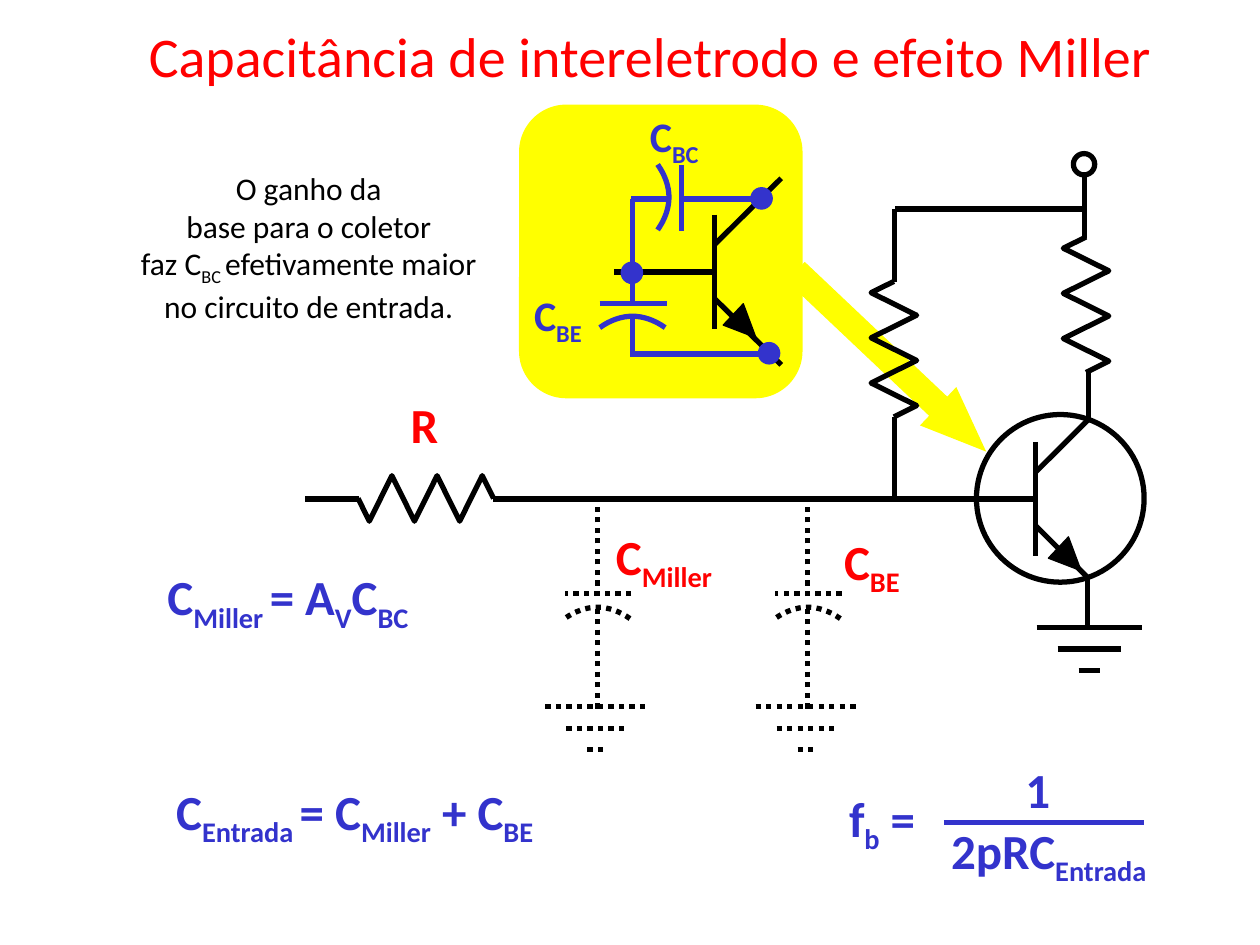
import pptx
import pptx.util
import pptx.dml.color
import pptx.enum.dml
import pptx.enum.shapes
import pptx.enum.text
import pptx.oxml.ns
import lxml.etree

Pt = pptx.util.Pt
RGBColor = pptx.dml.color.RGBColor
KINDS = pptx.enum.shapes.MSO_SHAPE
ALIGN = pptx.enum.text.PP_ALIGN
BLACK = RGBColor(0x00, 0x00, 0x00)
RED = RGBColor(0xFF, 0x00, 0x00)
BLUE = RGBColor(0x33, 0x33, 0xCC)
YELLOW = RGBColor(0xFF, 0xFF, 0x00)

deck = pptx.Presentation()
deck.slide_width, deck.slide_height = Pt(720), Pt(540)
slide = deck.slides.add_slide(deck.slide_layouts[5])
shapes = slide.shapes


def wire(points, color=BLACK, dotted=False):
    """Join two points with a connector, more points with an open outline."""
    ends = [(Pt(x), Pt(y)) for x, y in points]
    if len(ends) == 2:
        part = shapes.add_connector(
            pptx.enum.shapes.MSO_CONNECTOR.STRAIGHT, *ends[0], *ends[1])
        lxml.etree.SubElement(part._element.spPr, pptx.oxml.ns.qn("a:effectLst"))
    else:
        pen = shapes.build_freeform(*ends[0])
        pen.add_line_segments(ends[1:], close=False)
        part = pen.convert_to_shape()
        part.fill.background()
        part.shadow.inherit = False
    part.line.color.rgb = color
    part.line.width = Pt(3)
    if dotted:
        part.line.dash_style = pptx.enum.dml.MSO_LINE.ROUND_DOT


def solid(kind, x, y, w, h, fill=None, line=None, width=3):
    part = shapes.add_shape(kind, Pt(x), Pt(y), Pt(w), Pt(h))
    part.shadow.inherit = False
    if fill is None:
        part.fill.background()
    else:
        part.fill.solid()
        part.fill.fore_color.rgb = fill
    if line is None:
        part.line.fill.background()
    else:
        part.line.color.rgb = line
        part.line.width = Pt(width)
    return part


# Detail panel and its arrow to the transistor
arrow = solid(KINDS.RIGHT_ARROW, 434.2, 191.5, 149.8, 30.2, YELLOW)
arrow.rotation = 43.4
arrow.adjustments[0], arrow.adjustments[1] = 0.5, 1.25
solid(KINDS.ROUNDED_RECTANGLE, 296.6, 59.8, 162, 167.8, YELLOW)

# Resistors: two upright, one lying
along = [0] + [6.45 + 12.9 * i for i in range(6)] + [77.4]
across = [0, -13, 13, -13, 13, -13, 13, 0]
zigzag = list(zip(along, across))
for x, y in [(620.6, 135.4), (510.8, 160.8)]:
    wire([(x + b, y + a) for a, b in zigzag])
wire([(204.6 + a, 284.8 - b) for a, b in zigzag])

# Wires of the main circuit
for ends in [
    [(590.4, 285.1), (281.5, 285.1)],
    [(205.2, 285.1), (174.2, 285.1)],
    [(622.1, 241.2), (622.1, 213.1)],
    [(621.4, 330.5), (621.4, 359.3)],
    [(511.2, 285.1), (511.2, 238.3)],
    [(619.9, 119.5), (511.2, 119.5)],
    [(511.2, 161.3), (511.2, 119.5)],
    [(619.9, 136.1), (619.9, 100.1)],
    [(407.5, 155.5), (350.6, 155.5)],
]:
    wire(ends)
solid(KINDS.OVAL, 558, 236.9, 95.8, 95.8, line=BLACK)
solid(KINDS.OVAL, 613.4, 87.8, 12.2, 12.2, line=BLACK)

# Transistors: bar centre, lead reach and drop, arrow tip
for x, y, reach, drop, tipx, tipy in [
    (591.8, 285.1, 30.2, 45.4, 617.8, 326.2),
    (408.2, 155.2, 38.2, 53.3, 432, 193),
]:
    wire([(x, y - 32.6), (x, y + 32.6)])
    for side in (-1, 1):
        wire([(x, y + side * 15.3), (x + reach, y + side * drop)])
    pen = shapes.build_freeform(Pt(tipx), Pt(tipy))
    pen.add_line_segments([(Pt(tipx - 7.2), Pt(tipy - 19.4)),
                           (Pt(tipx - 18.7), Pt(tipy - 7.2))])
    tip = pen.convert_to_shape()
    tip.shadow.inherit = False
    tip.fill.solid()
    tip.fill.fore_color.rgb = BLACK
    tip.line.color.rgb = BLACK
    tip.line.width = Pt(0.75)

# Curved capacitor plate, measured from the middle of the curve
curve = [(18.7 * i / 8, 6.5 * (i / 8) ** 2) for i in range(-8, 9)]

# Dotted capacitors to ground
for x in (341.3, 461.5):
    wire([(x + 19.4, 339.1), (x - 18.7, 339.1)], dotted=True)
    wire([(x + a, 347 + b) for a, b in reversed(curve)], dotted=True)
    wire([(x, 347.8), (x, 406.1)], dotted=True)
    wire([(x, 340.6), (x, 287.3)], dotted=True)

# Ground symbols
for x, y, dotted in [(622.4, 358.6, False), (341.6, 403.9, True),
                     (461.8, 403.9, True)]:
    for i in range(3):
        half = 30 - 12 * i
        wire([(x - half, y + 12.2 * i), (x + half, y + 12.2 * i)], dotted=dotted)

# Capacitors inside the transistor
wire([(389.5, 94.3), (389.5, 131.8)], BLUE)
wire([(382.3 - b, 112.7 + a) for a, b in curve], BLUE)
wire([(342.7, 173.5), (380.9, 173.5)], BLUE)
wire([(361.4 + a, 180.7 + b) for a, b in curve], BLUE)
for ends in [
    [(380.9, 113.8), (360.7, 113.8)],
    [(361.4, 113.8), (361.4, 173.5)],
    [(439.2, 202.3), (361.4, 202.3)],
    [(361.4, 203.8), (361.4, 179.3)],
    [(390.2, 113.8), (434.9, 113.8)],
    [(539.3, 470.2), (653.8, 470.2)],  # fraction bar
]:
    wire(ends, BLUE)
for x, y in [(429.1, 107.3), (355, 149.8), (433.4, 195.8)]:
    solid(KINDS.OVAL, x, y, 12.2, 12.2, BLUE, BLUE, 0.75)

# Texts: place, size, colour, lines; every second run is a subscript
note = [["O ganho da"], ["base para o coletor"],
        ["faz C", "BC ", "efetivamente maior"], ["no circuito de entrada."]]
texts = [
    (77.8, 8.6, 598.3, 46.1, 32, RED,
     [["Capacitância de intereletrodo e efeito Miller"]]),
    (72.7, 92.9, 207.4, 96.5, 18, BLACK, note),
    (475.2, 300.2, 48, 45.4, 28, RED, [["C", "BE"]]),
    (344.9, 297.4, 71, 45.4, 28, RED, [["C", "Miller"]]),
    (227.5, 221.8, 32, 41, 28, RED, [["R"]]),
    (298.1, 162, 45, 40.3, 24, BLUE, [["C", "BE"]]),
    (364.3, 59.8, 45, 40.3, 24, BLUE, [["C", "BC"]]),
    (88.6, 320.4, 155, 45.4, 28, BLUE, [["C", "Miller ", "= A", "V", "C", "BC"]]),
    (93.6, 442.8, 222, 45.4, 28, BLUE,
     [["C", "Entrada ", "= C", "Miller", " + C", "BE"]]),
    (478.1, 447.1, 56, 45.4, 28, BLUE, [["f", "b", " ="]]),
    (536.4, 465.1, 129, 45.4, 28, BLUE, [["2pRC", "Entrada"]]),
    (578.9, 430.6, 30, 41, 28, BLUE, [["1"]]),
]
for x, y, w, h, size, color, lines in texts:
    if size == 32:
        box = shapes.title
        box.left, box.top, box.width, box.height = Pt(x), Pt(y), Pt(w), Pt(h)
    else:
        box = shapes.add_textbox(Pt(x), Pt(y), Pt(w), Pt(h))
    frame = box.text_frame
    frame.word_wrap = False
    frame.auto_size = pptx.enum.text.MSO_AUTO_SIZE.SHAPE_TO_FIT_TEXT
    frame.vertical_anchor = pptx.enum.text.MSO_ANCHOR.TOP
    for i, line in enumerate(lines):
        para = frame.add_paragraph() if i else frame.paragraphs[0]
        para.alignment = ALIGN.CENTER if lines is note else ALIGN.LEFT
        for j, words in enumerate(line):
            run = para.add_run()
            run.text = words
            run.font.name = "Calibri"
            run.font.size = Pt(size)
            run.font.bold = size in (24, 28)
            run.font.color.rgb = color
            if j % 2:
                run._r.get_or_add_rPr().set("baseline", "-25000")

deck.save("out.pptx")
